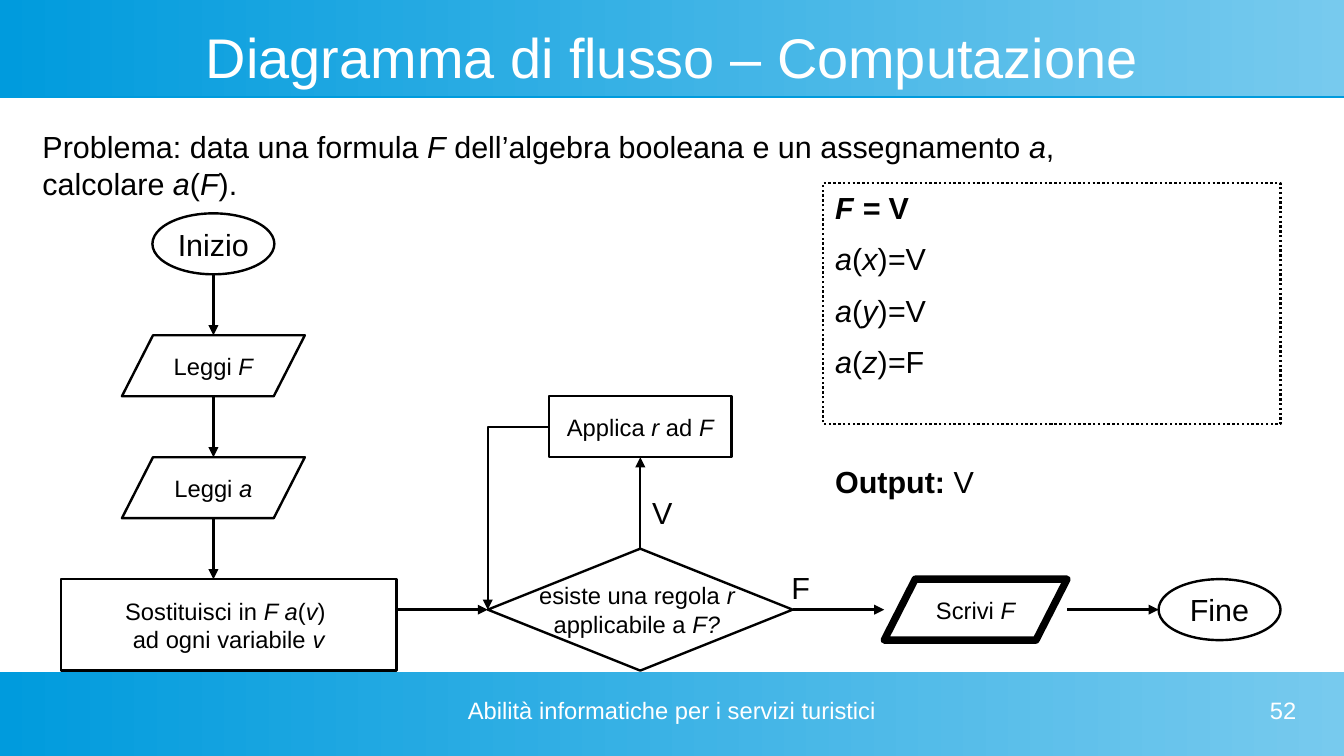
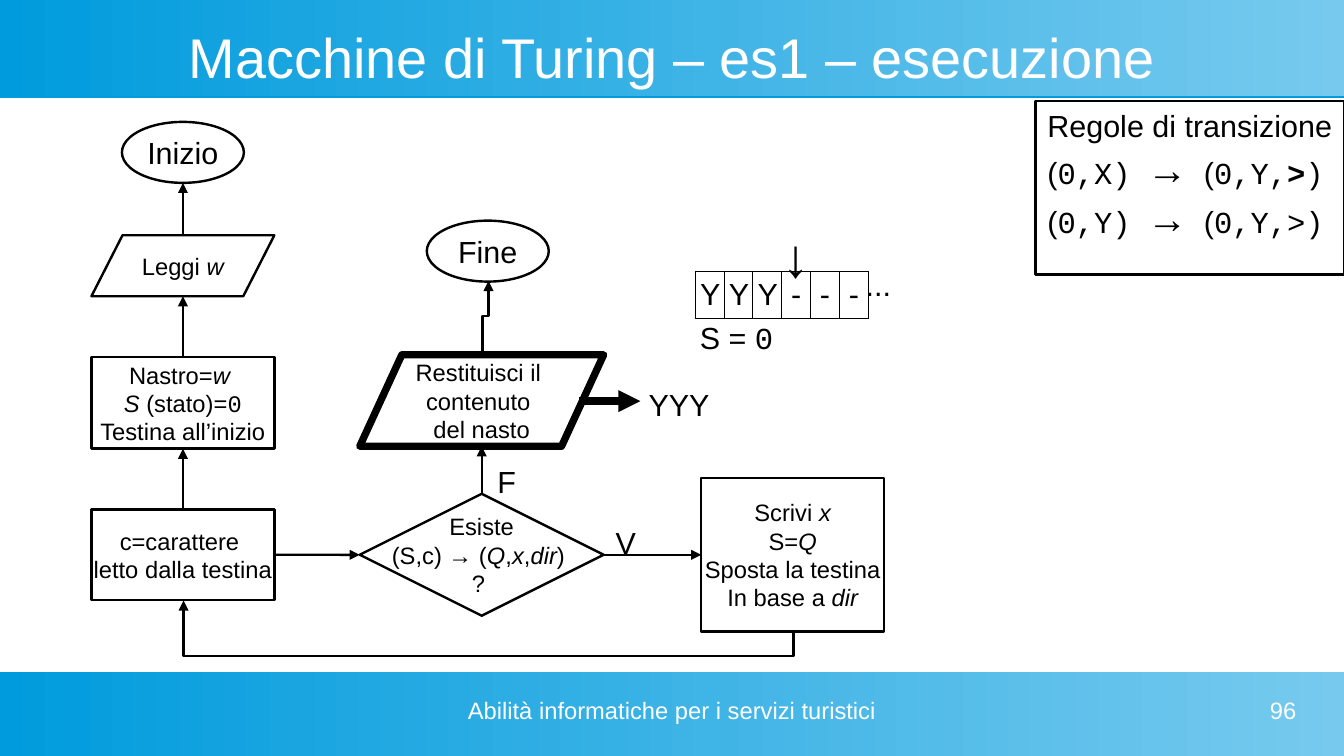
from dataclasses import dataclass

from lxml import etree
from pptx import Presentation
from pptx import util as u
from pptx.dml import color
from pptx.enum import shapes, text
from pptx.oxml import ns


@dataclass(frozen=True)
class Theme:
    ink: str = "000000"
    white: str = "FFFFFF"
    band_dark: str = "009BDD"
    band_light: str = "77CAEE"
    font: str = "Arial"
    code: str = "Courier New"
    title: int = 33
    arrow_glyph: int = 32
    rule_arrow: int = 24
    body: int = 18
    small: int = 14
    line: float = 1.42
    thick: float = 4.31
    grid: float = 0.57


T = Theme()
I = u.Inches
RGB = color.RGBColor.from_string
SHAPE = shapes.MSO_SHAPE
LEFT, CENTER, RIGHT = text.PP_ALIGN.LEFT, text.PP_ALIGN.CENTER, text.PP_ALIGN.RIGHT
TOP, MIDDLE = text.MSO_ANCHOR.TOP, text.MSO_ANCHOR.MIDDLE
OVAL, BOX, DIAMOND, SLANT = SHAPE.OVAL, SHAPE.RECTANGLE, SHAPE.DIAMOND, SHAPE.PARALLELOGRAM


def write(tf, content, size=T.body, ink=T.ink, align=LEFT, anchor=TOP, wrap=True, before=0, inset=(0.1, 0.05)):
    """Markup: _italic_, *bold*, `code`, ^large^."""
    tf.word_wrap = wrap
    tf.vertical_anchor = anchor
    tf.margin_left = tf.margin_right = I(inset[0])
    tf.margin_top = tf.margin_bottom = I(inset[1])
    for i, line in enumerate(content.split("\n")):
        p = tf.add_paragraph() if i else tf.paragraphs[0]
        p.alignment = align
        if i and before:
            p.space_before = u.Pt(before)
        active, r = set(), None
        for ch in line:
            if ch in "_*`^":
                active ^= {ch}
                r = None
                continue
            if r is None:
                r = p.add_run()
                r.font.size = u.Pt(T.rule_arrow if "^" in active else size)
                r.font.name = T.code if "`" in active else T.font
                r.font.italic = "_" in active
                r.font.bold = "*" in active
                r.font.color.rgb = RGB(ink)
            r.text += ch


def link(s, nodes, start, end, width=T.line, bend=None, turn=0):
    kind = shapes.MSO_CONNECTOR.STRAIGHT if bend is None else shapes.MSO_CONNECTOR.ELBOW
    ends = [(0, 0) if isinstance(e[0], str) else e for e in (start, end)]
    c = s.shapes.add_connector(kind, *(I(v) for e in ends for v in e))
    for e, connect in ((start, c.begin_connect), (end, c.end_connect)):
        if isinstance(e[0], str):
            connect(nodes[e[0]], e[1])
    c.line.width = u.Pt(width)
    c.line.color.rgb = RGB(T.ink)
    etree.SubElement(c.line._get_or_add_ln(), ns.qn("a:tailEnd"), type="triangle")
    sp_pr = c._element.spPr
    etree.SubElement(sp_pr, ns.qn("a:effectLst"))
    if bend is not None:
        av = sp_pr.find(ns.qn("a:prstGeom")).find(ns.qn("a:avLst"))
        etree.SubElement(av, ns.qn("a:gd"), name="adj1", fmla=f"val {round(bend * 100000)}")
    if turn:
        sp_pr.find(ns.qn("a:xfrm")).set("rot", str(turn * 60000))


BOOLEAN = {
    "title": "Diagramma di flusso – Computazione",
    "number": "52",
    "nodes": {
        "inizio": (OVAL, 1.25, 1.75, 1, 0.5, "Inizio"),
        "formula": (SLANT, 1, 2.75, 1.5, 0.5, "Leggi _F_"),
        "assegnamento": (SLANT, 1, 3.75, 1.5, 0.5, "Leggi _a_"),
        "sostituisci": (BOX, 0.5, 4.75, 2.75, 0.75, "Sostituisci in _F a_(_v_) \nad ogni variabile _v_"),
        "regola": (DIAMOND, 4, 4.5, 2.5, 1, "esiste una regola_ r _\napplicabile a_ F? _"),
        "applica": (BOX, 4.5, 3.25, 1.5, 0.5, "Applica _r_ ad _F_"),
        "scrivi": (SLANT, 7.25, 4.75, 1.5, 0.5, "Scrivi _F_"),
        "fine": (OVAL, 9.5, 4.75, 1, 0.5, "Fine"),
    },
    "current": "scrivi",
    "slant": 0.51,
    "links": [
        dict(start=(1.75, 2.25), end=(1.75, 2.75)),
        dict(start=(1.75, 3.25), end=(1.75, 3.75)),
        dict(start=(1.75, 4.25), end=(1.75, 4.75)),
        dict(start=(3.25, 5), end=("regola", 1)),
        dict(start=("regola", 0), end=("applica", 2)),
        dict(start=("regola", 3), end=(7.25, 5)),
        dict(start=(8.75, 5), end=(9.5, 5)),
        dict(start=(4.5, 3.5), end=(4, 5), bend=1),
    ],
    "labels": [
        (0.25, 1, 9.25, 0.75, "Problema: data una formula _F_ dell’algebra booleana e un assegnamento _a_, "
         "calcolare _a_(_F_).", {}),
        (5.25, 4, 0.36, 0.38, "V", dict(wrap=False)),
        (6.39, 4.62, 0.35, 0.38, "F", dict(wrap=False)),
        (6.75, 3.75, 3.75, 0.5, "*Output: *V", {}),
    ],
    "panel": (6.75, 1.5, 3.75, 1.98, "*_F = _V*\n_a_(_x_)_=_V\n_a_(_y_)_=_V\n_a_(_z_)_=_F", dict(before=8.7)),
    "dash": "sysDot",
    "tape": "",
}

TURING = {
    "title": "Macchine di Turing – es1 – esecuzione",
    "number": "96",
    "nodes": {
        "inizio": (OVAL, 1, 1, 1, 0.5, "Inizio"),
        "leggi": (SLANT, 0.75, 1.93, 1.5, 0.5, "Leggi _w_"),
        "nastro": (BOX, 0.75, 2.93, 1.5, 0.75, "Nastro=_w _\n_S _(stato)=`0`\nTestina all’inizio"),
        "carattere": (BOX, 0.75, 4.18, 1.5, 0.74, "c=carattere \nletto dalla testina"),
        "esiste": (DIAMOND, 2.95, 4.05, 2, 1, "Esiste\n(S,c) → (_Q_,_x_,_dir_) \n? "),
        "scrivi": (BOX, 5.75, 3.92, 1.5, 1.26, "Scrivi _x_\nS=_Q_\nSposta la testina\nIn base a _dir_"),
        "restituisci": (SLANT, 2.95, 2.91, 2, 0.75, "Restituisci il \ncontenuto \ndel nasto"),
        "fine": (OVAL, 3.5, 1.81, 1, 0.5, "Fine"),
    },
    "current": "restituisci",
    "slant": 0.46,
    "links": [
        dict(start=("carattere", 0), end=("nastro", 2)),
        dict(start=("nastro", 0), end=(1.5, 2.43)),
        dict(start=(1.5, 1.93), end=(1.5, 1.5)),
        dict(start=("carattere", 3), end=("esiste", 1)),
        dict(start=("esiste", 3), end=("scrivi", 1)),
        dict(start=("esiste", 0), end=(3.95, 3.66)),
        dict(start=(3.88, 7.55), end=(4.13, 2.55), bend=-0.83, turn=270),
        dict(start=(4.28, 2.63), end=(3.68, 2.58), bend=0.52, turn=90),
        dict(start=(4.75, 3.29), end=(5.25, 3.29), width=T.thick),
    ],
    "labels": [
        (4.95, 4.25, 0.36, 0.38, "V", dict(wrap=False)),
        (3.98, 3.75, 0.36, 0.38, "F", dict(wrap=False)),
        (6.32, 1.78, 0.5, 0.6, "↓", dict(size=T.arrow_glyph)),
        (5.64, 2.57, 1.25, 0.4, "S = `0`", {}),
        (7, 2.13, 0.5, 0.5, "...", {}),
        (5.22, 3.12, 1.5, 0.38, "YYY", {}),
    ],
    "panel": (8.49, 0.83, 2.53, 1.42, "Regole di transizione\n(`0,X)^ → ^`(`0,Y,*>*)`\n(`0,Y)^ → ^`(`0,Y,>)`",
              dict(wrap=False)),
    "dash": None,
    "tape": "YYY---",
}

prs = Presentation()
prs.slide_width, prs.slide_height = I(11.02), I(6.2)

for page in (BOOLEAN, TURING):
    s = prs.slides.add_slide(prs.slide_layouts[6])

    for top, height in ((0, 0.79), (5.51, 0.69)):
        band = s.shapes.add_shape(BOX, 0, I(top), prs.slide_width, I(height))
        band.shadow.inherit = False
        band.line.fill.background()
        band.fill.gradient()
        band.fill.gradient_angle = 0
        for stop, tone in zip(band.fill.gradient_stops, (T.band_dark, T.band_light)):
            stop.color.rgb = RGB(tone)
        effects = band._element.spPr.find(ns.qn("a:effectLst"))
        shadow = etree.SubElement(effects, ns.qn("a:outerShdw"), dist=str(u.Pt(0.9)), dir="5400000", rotWithShape="0")
        etree.SubElement(shadow, ns.qn("a:srgbClr"), val=T.band_dark)

    frame = dict(ink=T.white, inset=(0, 0))
    furniture = [
        (0.39, 0.2, 10.24, 0.52, page["title"], dict(size=T.title, align=CENTER, anchor=MIDDLE, **frame)),
        (3.74, 5.71, 3.54, 0.39, "Abilità informatiche per i servizi turistici",
         dict(size=T.small, align=CENTER, **frame)),
        (8.07, 5.71, 2.56, 0.39, page["number"], dict(size=T.small, align=RIGHT, **frame)),
    ]

    nodes = {}
    for name, (kind, x, y, w, h, content) in page["nodes"].items():
        current = name == page["current"]
        sp = nodes[name] = s.shapes.add_shape(kind, I(x), I(y), I(w), I(h))
        sp.shadow.inherit = False
        sp.fill.background()
        sp.line.color.rgb = RGB(T.ink)
        sp.line.width = u.Pt(T.thick if current else T.line)
        if kind == SLANT:
            sp.adjustments[0] = page["slant"] if current else 0.51
        write(sp.text_frame, content, size=T.body if kind == OVAL else T.small,
              align=CENTER, anchor=MIDDLE, wrap=False)

    for spec_link in page["links"]:
        link(s, nodes, **spec_link)

    x, y, w, h, content, fmt = page["panel"]
    panel = s.shapes.add_shape(BOX, I(x), I(y), I(w), I(h))
    panel.shadow.inherit = False
    panel.fill.background()
    panel.line.color.rgb = RGB(T.ink)
    panel.line.width = u.Pt(T.line)
    if page["dash"]:
        etree.SubElement(panel.line._get_or_add_ln(), ns.qn("a:prstDash"), val=page["dash"])
    write(panel.text_frame, content, **fmt)

    if page["tape"]:
        count = len(page["tape"])
        tbl = s.shapes.add_table(1, count, I(5.7), I(2.23), I(1.42), I(0.38)).table
        tbl.first_row = tbl.horz_banding = False
        for i, symbol in enumerate(page["tape"]):
            tbl.columns[i].width = I(1.42 / count)
            cell = tbl.cell(0, i)
            cell.fill.background()
            cell.margin_left = cell.margin_right = I(0.04)
            write(cell.text_frame, symbol, align=CENTER)
            tc_pr = cell._tc.get_or_add_tcPr()
            for k, side in enumerate(("lnL", "lnR", "lnT", "lnB")):
                ln = etree.Element(ns.qn(f"a:{side}"), w=str(u.Pt(T.grid)))
                fill = etree.SubElement(ln, ns.qn("a:solidFill"))
                etree.SubElement(fill, ns.qn("a:srgbClr"), val=T.ink)
                tc_pr.insert(k, ln)

    for x, y, w, h, content, fmt in furniture + page["labels"]:
        write(s.shapes.add_textbox(I(x), I(y), I(w), I(h)).text_frame, content, **fmt)

prs.save("out.pptx")
